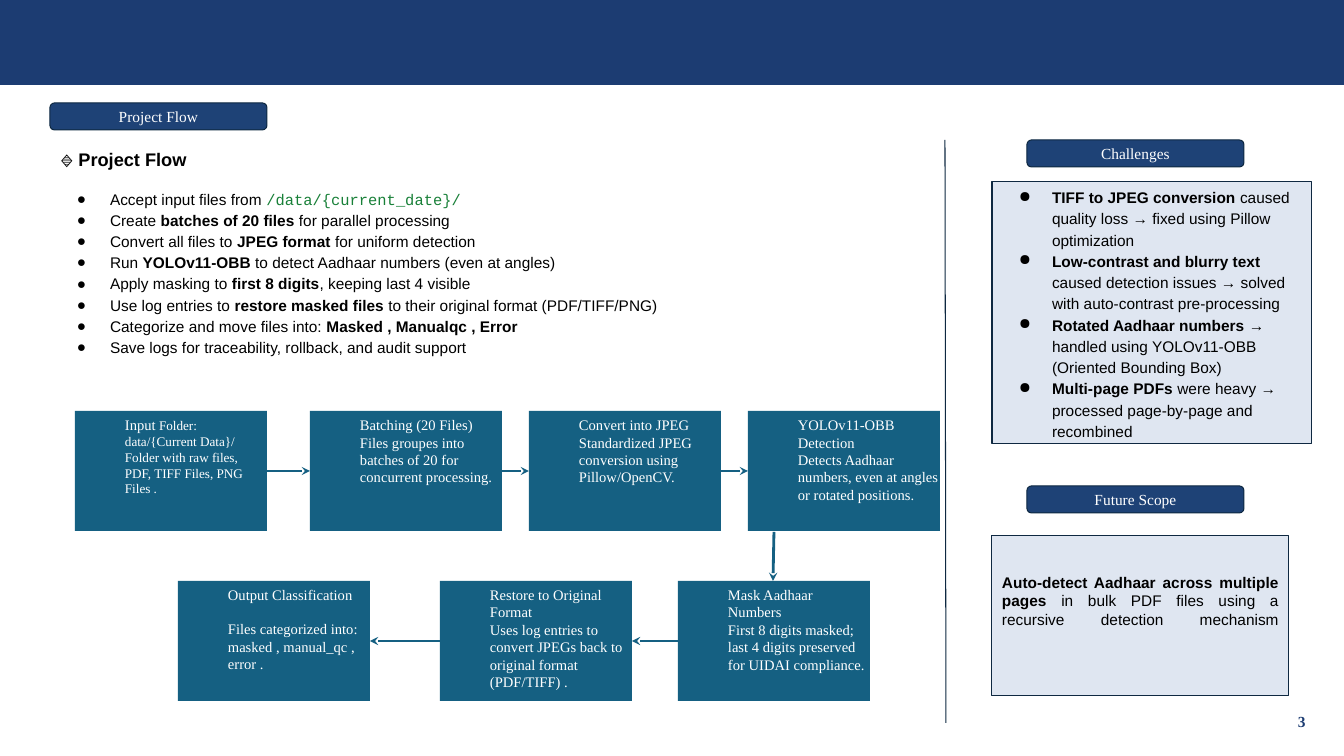
import pptx
import pptx.dml.color
import pptx.enum.shapes
import pptx.enum.text
import pptx.oxml.ns
import pptx.util
import lxml.etree

SCALE = 914400 / 100.8
SHAPE = pptx.enum.shapes.MSO_SHAPE
ALIGN = pptx.enum.text.PP_ALIGN
ANCHOR = pptx.enum.text.MSO_ANCHOR


def color(code):
    return pptx.dml.color.RGBColor.from_string(code)


def font(name, size, code, bold=False):
    return {"name": name, "size": pptx.util.Pt(size), "bold": bold, "color": color(code)}


class Theme:
    banner = color("1C3C72")
    pill = color("1E4276")
    panel = color("DFE6F1")
    outline = color("0E2841")
    step = color("156082")
    thin = pptx.util.Pt(0.75)
    thick = pptx.util.Pt(2)
    fonts = {
        "heading": font("Arial", 13, "000000", True),
        "plain": font("Arial", 11, "000000"),
        "strong": font("Arial", 11, "000000", True),
        "code": font("Courier New", 11, "188038"),
        "pill": font("Times New Roman", 11, "FFFFFF"),
        "step": font("Times New Roman", 10.4, "FFFFFF"),
        "small": font("Times New Roman", 9.4, "FFFFFF"),
        "number": font("Times New Roman", 11, "1C3C72", True),
    }


HEADING = [("🔹 Project Flow", "heading")]
FLOW = [
    [("Accept input files from ", "plain"), ("/data/{current_date}/", "code")],
    [("Create ", "plain"), ("batches of 20 files", "strong"), (" for parallel processing", "plain")],
    [("Convert all files to ", "plain"), ("JPEG format", "strong"), (" for uniform detection", "plain")],
    [("Run ", "plain"), ("YOLOv11-OBB", "strong"), (" to detect Aadhaar numbers (even at angles)", "plain")],
    [("Apply masking to ", "plain"), ("first 8 digits", "strong"), (", keeping last 4 visible", "plain")],
    [("Use log entries to ", "plain"), ("restore masked files", "strong"),
     (" to their original format (PDF/TIFF/PNG)", "plain")],
    [("Categorize and move files into:", "plain"), (" Masked , Manualqc , Error", "strong")],
    [("Save logs for traceability, rollback, and audit support", "plain")],
]
CHALLENGES = [
    [("TIFF to JPEG conversion", "strong"), (" caused quality loss → fixed using Pillow optimization", "plain")],
    [("Low-contrast and blurry text", "strong"),
     (" caused detection issues → solved with auto-contrast pre-processing", "plain")],
    [("Rotated Aadhaar numbers", "strong"), (" → handled using YOLOv11-OBB (Oriented Bounding Box)", "plain")],
    [("Multi-page PDFs", "strong"), (" were heavy → processed page-by-page and recombined", "plain")],
]
FUTURE = [("Auto-detect Aadhaar across multiple pages", "strong"),
          (" in bulk PDF files using a recursive detection mechanism", "plain")]
INPUT_STEP = [
    [("Input", "step"), (" Folder:", "small")],
    [("data/{Current Data}/ Folder with raw files, PDF, TIFF Files, PNG Files .", "small")],
]
TOP_STEPS = [
    ("Batching (20 Files)", "Files groupes into batches of 20 for concurrent processing."),
    ("Convert into JPEG", "Standardized JPEG conversion using Pillow/OpenCV."),
    ("YOLOv11-OBB Detection", "Detects Aadhaar numbers, even at angles or rotated positions."),
]
BOTTOM_STEPS = [
    ("Mask Aadhaar Numbers", "First 8 digits masked; last 4 digits preserved for UIDAI compliance."),
    ("Restore to Original Format", "Uses log entries to convert JPEGs back to original format (PDF/TIFF) ."),
    ("Output Classification", "Files categorized into: masked , manual_qc , error ."),
]


def px(length):
    return round(length * SCALE)


def set_values(target, values):
    for name, value in values.items():
        if name == "color":
            target.color.rgb = value
        else:
            setattr(target, name, value)


def set_frame(frame, side, edge, anchor):
    set_values(frame, {
        "word_wrap": True, "auto_size": pptx.enum.text.MSO_AUTO_SIZE.NONE, "vertical_anchor": anchor,
        "margin_left": px(side), "margin_right": px(side),
        "margin_top": px(edge), "margin_bottom": px(edge),
    })


def add_bullet(properties):
    bullet_color = lxml.etree.SubElement(properties, pptx.oxml.ns.qn("a:buClr"))
    lxml.etree.SubElement(bullet_color, pptx.oxml.ns.qn("a:srgbClr"), val="000000")
    lxml.etree.SubElement(properties, pptx.oxml.ns.qn("a:buChar"), char="●")


def write(frame, lines, margin=0, hanging=0, **values):
    for index, runs in enumerate(lines):
        paragraph = frame.paragraphs[0] if index == 0 else frame.add_paragraph()
        format_paragraph(paragraph, runs, margin, hanging, **values)


def format_paragraph(paragraph, runs, margin=0, hanging=0, **values):
    properties = paragraph._p.get_or_add_pPr()
    properties.set("marL", str(px(margin)))
    properties.set("indent", str(px(-hanging)))
    if hanging:
        add_bullet(properties)
    else:
        lxml.etree.SubElement(properties, pptx.oxml.ns.qn("a:buNone"))
    set_values(paragraph, {"space_before": pptx.util.Pt(0), **values})
    for text, style in runs:
        run = paragraph.add_run()
        run.text = text
        set_values(run.font, Theme.fonts[style])


def add_box(slide, kind, box, fill, outline=None):
    shape = slide.shapes.add_shape(kind, *map(px, box))
    shape.shadow.inherit = False
    shape.fill.solid()
    shape.fill.fore_color.rgb = fill
    if outline:
        set_values(shape.line, {"width": Theme.thin})
        shape.line.color.rgb = outline
    else:
        shape.line.fill.background()
    return shape


def add_line(slide, start, end, line_color, width, arrow=False):
    connector = slide.shapes.add_connector(
        pptx.enum.shapes.MSO_CONNECTOR.STRAIGHT, *map(px, start + end))
    connector.line.width = width
    connector.line.color.rgb = line_color
    if arrow:
        lxml.etree.SubElement(connector.line._get_or_add_ln(), pptx.oxml.ns.qn("a:tailEnd"), type="stealth")
    lxml.etree.SubElement(connector._element.spPr, pptx.oxml.ns.qn("a:effectLst"))


def add_pill(slide, left, top, text):
    shape = add_box(slide, SHAPE.ROUNDED_RECTANGLE, (left, top, 217, 27), Theme.pill, Theme.outline)
    shape.adjustments[0] = 0.167
    set_frame(shape.text_frame, 10, 10, ANCHOR.MIDDLE)
    write(shape.text_frame, [[(text, "pill")]], alignment=ALIGN.CENTER)


def add_flow_list(slide, box):
    body = slide.placeholders[1]
    set_values(body, dict(zip(("left", "top", "width", "height"), map(px, box))))
    frame = body.text_frame
    set_frame(frame, 10, 5, ANCHOR.TOP)
    write(frame, [HEADING], line_spacing=1.15)
    for index, runs in enumerate(FLOW):
        space = pptx.util.Pt(0 if index else 12)
        format_paragraph(frame.add_paragraph(), runs, 50, 33, line_spacing=1.15, space_before=space)


def add_panel(slide, box, lines, **values):
    shape = add_box(slide, SHAPE.RECTANGLE, box, Theme.panel, Theme.outline)
    set_frame(shape.text_frame, 10, 10, ANCHOR.MIDDLE)
    write(shape.text_frame, lines, **values)
    return shape


def add_step_row(slide, top, lefts, steps, width=192, height=120):
    for left, lines in zip(lefts, steps):
        shape = add_box(slide, SHAPE.RECTANGLE, (left, top, width, height), Theme.step)
        set_frame(shape.text_frame, 0, 5, ANCHOR.TOP)
        write(shape.text_frame, lines, 50, alignment=ALIGN.LEFT)
    middle = top + height // 2
    for left, following in zip(lefts, lefts[1:]):
        ends = (left + width, following) if following > left else (left, following + width)
        add_line(slide, (ends[0], middle), (ends[1], middle), Theme.step, Theme.thick, True)
    return shape


def add_flowchart(slide, left, top):
    plain_steps = [[[(text, "step")] for text in step] for step in TOP_STEPS + BOTTOM_STEPS]
    add_step_row(slide, top, [left + x for x in (0, 235, 454, 673)], [INPUT_STEP] + plain_steps[:3])
    output = add_step_row(slide, top + 170, [left + x for x in (603, 365, 103)], plain_steps[3:])
    output.text_frame.paragraphs[1].space_before = pptx.util.Pt(12)
    add_line(slide, (left + 699, top + 121), (left + 698, top + 170), Theme.step, Theme.thick, True)


def add_sidebar(slide, left, top):
    add_line(slide, (left - 47, top), (left - 46, top + 583), Theme.outline, Theme.thin)
    add_pill(slide, left + 35, top, "Challenges")
    add_panel(slide, (left, top + 42, 320, 262), CHALLENGES, margin=50, hanging=33,
              line_spacing=1.15, alignment=ALIGN.LEFT)
    add_pill(slide, left + 35, top + 346, "Future Scope")
    future = add_panel(slide, (left, top + 396, 297, 160), [FUTURE], alignment=ALIGN.JUSTIFY)
    future.text_frame.paragraphs[0].add_line_break()


def add_page_number(slide, box):
    shape = slide.shapes.add_textbox(*map(px, box))
    set_frame(shape.text_frame, 10, 5, ANCHOR.MIDDLE)
    write(shape.text_frame, [[("3", "number")]], alignment=ALIGN.RIGHT)


def main():
    presentation = pptx.Presentation()
    set_values(presentation, {"slide_width": px(1344), "slide_height": px(756)})
    slide = presentation.slides.add_slide(presentation.slide_layouts[1])
    title = slide.shapes.title._element
    title.getparent().remove(title)
    add_box(slide, SHAPE.RECTANGLE, (0, 0, 1344, 85), Theme.banner)
    add_pill(slide, 50, 103, "Project Flow")
    add_flow_list(slide, (50, 140, 884, 262))
    add_flowchart(slide, 75, 411)
    add_sidebar(slide, 992, 140)
    add_page_number(slide, (1288, 701, 23, 40))
    presentation.save("out.pptx")


if __name__ == "__main__":
    main()
